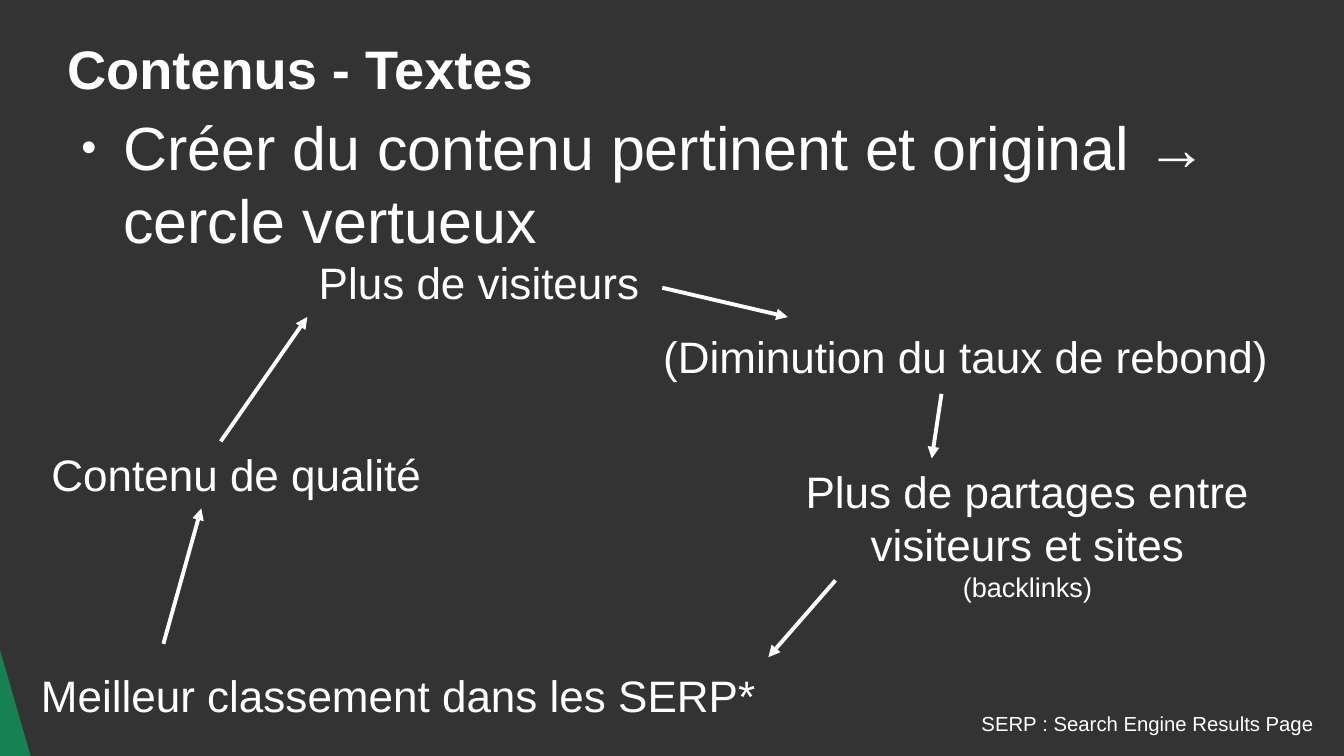
from lxml import etree
from pptx import Presentation
from pptx.dml.color import RGBColor
from pptx.enum.shapes import MSO_CONNECTOR as CONNECTOR, MSO_SHAPE as SHAPE
from pptx.enum.text import MSO_ANCHOR as ANCHOR, MSO_AUTO_SIZE as AUTO_SIZE, PP_ALIGN as ALIGN
from pptx.oxml.ns import qn
from pptx.util import Inches, Pt

BACKGROUND, WHITE, GREEN = "333333", "FFFFFF", "168253"
FONT = "Arial"

TITLE = "Contenus - Textes"
MESSAGE = "Créer du contenu pertinent et original → cercle vertueux"
FOOTNOTE = "SERP\u00a0: Search Engine Results Page"

# (left, top, width, height), [(text, size), ...]
STEPS = [
    ((2.01, 2.05, 3.84, 0.5), [("Plus de visiteurs", 26)]),
    ((5.28, 2.65, 5.28, 0.58), [("(Diminution du taux de rebond)", 26)]),
    ((6.38, 3.76, 4.09, 1.15),
     [("Plus de partages entre visiteurs et sites", 26), ("(backlinks)", 16)]),
    ((0.16, 5.43, 6.22, 0.53), [("Meilleur classement dans les SERP*", 26)]),
    ((0.02, 3.62, 3.84, 0.5), [("Contenu de qualité", 26)]),
]
# (start x, start y), (end x, end y)
ARROWS = [
    ((5.43, 2.36), (6.46, 2.6)),
    ((7.72, 3.23), (7.64, 3.76)),
    ((6.85, 4.76), (6.3, 5.39)),
    ((1.34, 5.28), (1.65, 4.17)),
    ((1.81, 3.62), (2.52, 2.6)),
]


def color(value):
    return RGBColor.from_string(value)


def place(shape, box):
    shape.left, shape.top, shape.width, shape.height = map(Inches, box)


def write(shape, lines, align=ALIGN.LEFT, anchor=ANCHOR.TOP, bold=False,
          margins=(0.1, 0.05), bullet=None):
    """Fill a shape with (text, size) lines; bullet is (char, percent, indent, hanging)."""
    frame = shape.text_frame
    frame.word_wrap = True
    frame.auto_size = AUTO_SIZE.NONE
    frame.vertical_anchor = anchor
    frame.margin_left = frame.margin_right = Inches(margins[0])
    frame.margin_top = frame.margin_bottom = Inches(margins[1])
    for index, (text, size) in enumerate(lines):
        paragraph = frame.add_paragraph() if index else frame.paragraphs[0]
        paragraph.text = text
        paragraph.alignment = align
        paragraph.space_before = Pt(0)
        if bullet:
            add_bullet(paragraph, *bullet)
        font = paragraph.runs[0].font
        font.name, font.size, font.bold = FONT, Pt(size), bold
        font.color.rgb = color(WHITE)


def add_bullet(paragraph, char, percent, indent, hanging):
    properties = paragraph._p.get_or_add_pPr()
    properties.set("marL", str(Inches(indent)))
    properties.set("indent", str(-Inches(hanging)))
    tint = etree.SubElement(properties, qn("a:buClr"))
    etree.SubElement(tint, qn("a:srgbClr"), val=WHITE)
    etree.SubElement(properties, qn("a:buSzPct"), val=str(percent * 1000))
    etree.SubElement(properties, qn("a:buFont"), typeface=FONT)
    etree.SubElement(properties, qn("a:buChar"), char=char)


def add_label(slide, box, lines, **style):
    write(slide.shapes.add_textbox(*map(Inches, box)), lines, **style)


def add_arrow(slide, start, end):
    arrow = slide.shapes.add_connector(CONNECTOR.STRAIGHT, *map(Inches, start + end))
    arrow.line.color.rgb = color(WHITE)
    arrow.line.width = Pt(2.3)
    etree.SubElement(arrow.line._get_or_add_ln(), qn("a:tailEnd"), type="triangle")
    etree.SubElement(arrow._element.spPr, qn("a:effectLst"))


def main():
    deck = Presentation()
    deck.slide_width, deck.slide_height = Inches(11.02), Inches(6.2)
    slide = deck.slides.add_slide(deck.slide_layouts[1])
    slide.background.fill.solid()
    slide.background.fill.fore_color.rgb = color(BACKGROUND)

    title, message = slide.placeholders
    place(title, (0.55, 0.25, 10.71, 0.62))
    write(title, [(TITLE, 32)], bold=True, anchor=ANCHOR.MIDDLE, margins=(0, 0))
    place(message, (0.54, 0.9, 10.33, 1.06))
    write(message, [(MESSAGE, 36)], margins=(0, 0), bullet=("●", 45, 0.47, 0.35))

    corner = slide.shapes.add_shape(
        SHAPE.RIGHT_TRIANGLE, *map(Inches, (-0.22, 4.57, 0.61, 2.11)))
    corner.shadow.inherit = False
    corner.fill.solid()
    corner.fill.fore_color.rgb = color(GREEN)
    corner.line.fill.background()

    for box, lines in STEPS:
        add_label(slide, box, lines, align=ALIGN.CENTER)
    for start, end in ARROWS:
        add_arrow(slide, start, end)
    add_label(slide, (0.97, 5.79, 9.9, 0.29), [(FOOTNOTE, 12)],
              align=ALIGN.RIGHT, anchor=ANCHOR.BOTTOM)
    deck.save("out.pptx")


if __name__ == "__main__":
    main()
